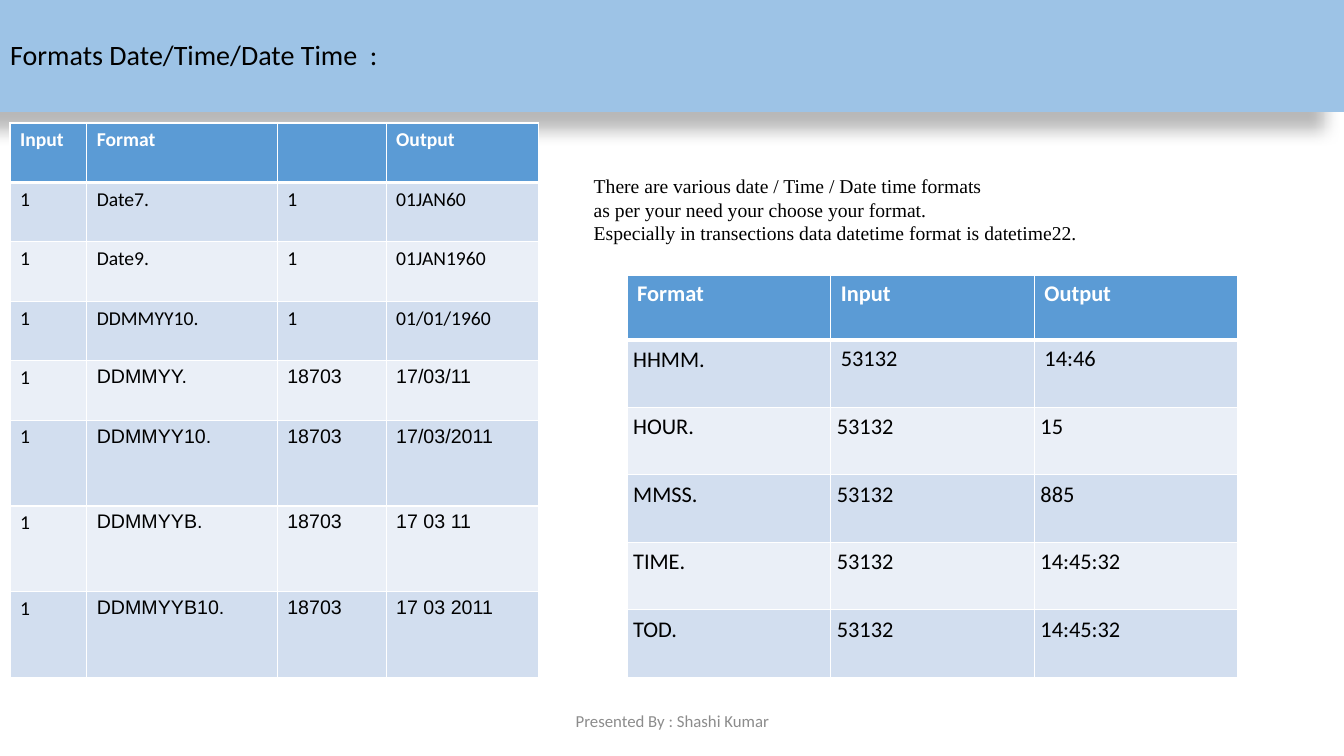
from pptx import Presentation
from pptx.dml.color import RGBColor as RGB
from pptx.enum.text import MSO_ANCHOR as Anchor, MSO_AUTO_SIZE as AutoSize, PP_ALIGN as Align
from pptx.oxml import parse_xml
from pptx.oxml.ns import nsdecls
from pptx.util import Inches, Pt

COLORS = {
    "banner": "9DC3E6", "header": "5B9BD5", "odd": "D2DEEF", "even": "EAEFF7",
    "white": "FFFFFF", "text": "000000", "footer": "8C8C8C",
}

DATE_ROWS = [
    ["Input", "Format", "", "Output"],
    ["1", "Date7.", "1", "01JAN60"],
    ["1", "Date9.", "1", "01JAN1960"],
    ["1", "DDMMYY10.", "1", "01/01/1960"],
    ["1", "DDMMYY.", "18703", "17/03/11"],
    ["1", "DDMMYY10.", "18703", "17/03/2011"],
    ["1", "DDMMYYB.", "18703", "17 03 11"],
    ["1", "DDMMYYB10.", "18703", "17 03 2011"],
]
TIME_ROWS = [
    ["Format", "Input", "Output"],
    ["HHMM.", "53132", "14:46"],
    ["HOUR.", "53132", "15"],
    ["MMSS.", "53132", "885"],
    ["TIME.", "53132", "14:45:32"],
    ["TOD.", "53132", "14:45:32"],
]
NOTES = [
    "There are various date / Time / Date time formats",
    "as per your need your choose your format.",
    "Especially in transections data datetime format is datetime22.",
]


def date_font(row, col):
    """Numeric date formats use Arial, except in the first column."""
    return "Arial" if row >= 4 and col > 0 else "Calibri"


def is_tight_time_cell(row, col):
    """The body has small margins, except for the first input and output."""
    return row > 1 or (row == 1 and col == 0)


class FormatSlide:
    def __init__(self, presentation):
        self.slide = presentation.slides.add_slide(presentation.slide_layouts[5])

    def put_run(self, paragraph, text, size, font="Calibri", color="text", bold=False):
        run = paragraph.add_run()
        run.text = text
        run.font.size = Pt(size)
        run.font.name = font
        run.font.bold = bold
        run.font.color.rgb = RGB.from_string(COLORS[color])

    def banner(self, text, box):
        title = self.slide.shapes.title
        title.left, title.top, title.width, title.height = map(Inches, box)
        title.fill.solid()
        title.fill.fore_color.rgb = RGB.from_string(COLORS["banner"])
        title._element.spPr.append(parse_xml(
            f'<a:effectLst {nsdecls("a")}><a:outerShdw blurRad="{Pt(11.8)}" dist="{Pt(19.7)}" '
            f'dir="{141 * 60000}" algn="ctr" rotWithShape="0"><a:srgbClr val="{COLORS["text"]}">'
            '<a:alpha val="28000"/></a:srgbClr></a:outerShdw></a:effectLst>'))
        frame = title.text_frame
        frame.auto_size = AutoSize.NONE
        frame.word_wrap = True
        frame.vertical_anchor = Anchor.MIDDLE
        paragraph = frame.paragraphs[0]
        paragraph.alignment = Align.LEFT
        paragraph.line_spacing = 0.9
        self.put_run(paragraph, text, 20)

    def text(self, lines, box, size, font="Calibri", color="text",
             align=Align.LEFT, anchor=Anchor.TOP):
        frame = self.slide.shapes.add_textbox(*map(Inches, box)).text_frame
        frame.word_wrap = True
        frame.vertical_anchor = anchor
        for index, line in enumerate(lines):
            paragraph = frame.add_paragraph() if index else frame.paragraphs[0]
            paragraph.alignment = align
            self.put_run(paragraph, line, size, font, color)

    def borders(self, cell, row):
        """Draw white cell edges, heavy below the header."""
        widths = {"L": 1, "R": 1, "T": 3 if row == 1 else 1, "B": 3 if row == 0 else 1}
        for index, (side, width) in enumerate(widths.items()):
            cell._tc.get_or_add_tcPr().insert(index, parse_xml(
                f'<a:ln{side} {nsdecls("a")} w="{Pt(width)}"><a:solidFill>'
                f'<a:srgbClr val="{COLORS["white"]}"/></a:solidFill></a:ln{side}>'))

    def table(self, rows, left, top, widths, heights, size,
              font_rule=lambda row, col: "Calibri", tight_rule=lambda row, col: False):
        box = map(Inches, (left, top, sum(widths), sum(heights)))
        table = self.slide.shapes.add_table(len(rows), len(widths), *box).table
        for column, width in zip(table.columns, widths):
            column.width = Inches(width)
        for r, (values, height) in enumerate(zip(rows, heights)):
            table.rows[r].height = Inches(height)
            band = "header" if r == 0 else "odd" if r % 2 else "even"
            for c, value in enumerate(values):
                cell = table.cell(r, c)
                cell.fill.solid()
                cell.fill.fore_color.rgb = RGB.from_string(COLORS[band])
                self.borders(cell, r)
                if tight_rule(r, c):
                    cell.margin_left = cell.margin_right = Inches(0.06)
                    cell.margin_top = cell.margin_bottom = Inches(0.06)
                if value:
                    self.put_run(cell.text_frame.paragraphs[0], value, size, font_rule(r, c),
                                 "white" if r == 0 else "text", r == 0)


def main():
    presentation = Presentation()
    presentation.slide_width = Inches(13.33)
    presentation.slide_height = Inches(7.5)
    page = FormatSlide(presentation)
    page.banner("Formats Date/Time/Date Time  :", (0, 0, 13.33, 1.11))
    page.table(DATE_ROWS, 0.1, 1.22, [0.76, 1.89, 1.08, 1.51],
               [0.59] * 5 + [0.85] * 3, 14, font_rule=date_font)
    page.text(NOTES, (5.79, 1.68, 6.91, 1.04), 14, "Times New Roman")
    page.table(TIME_ROWS, 6.22, 2.73, [2.02] * 3, [0.64] + [0.67] * 5, 16,
               tight_rule=is_tight_time_cell)
    page.text(["Presented By : Shashi Kumar"], (4.42, 6.95, 4.5, 0.4), 12,
              color="footer", align=Align.CENTER, anchor=Anchor.MIDDLE)
    presentation.save("out.pptx")


if __name__ == "__main__":
    main()
